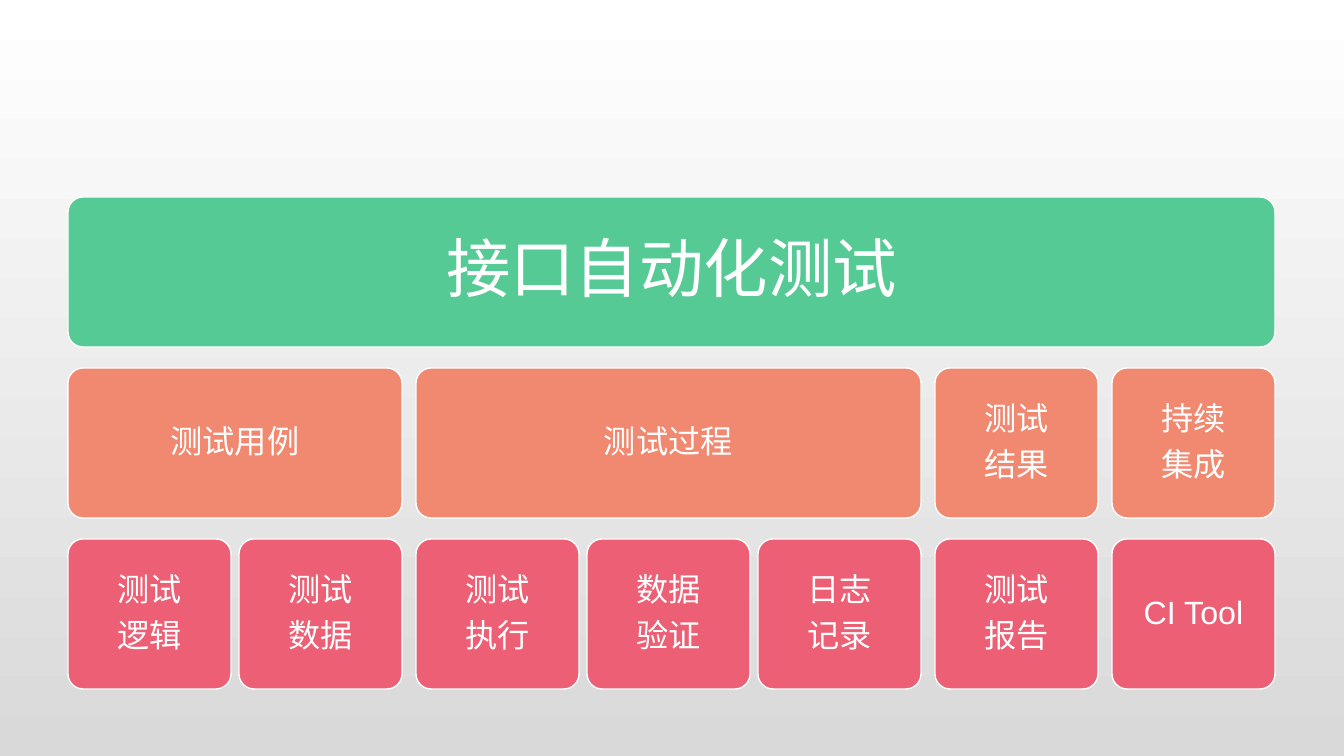
import pptx
import pptx.util
import pptx.dml.color
import pptx.enum.shapes
import pptx.enum.text

RGB = pptx.dml.color.RGBColor
WHITE = RGB(0xFF, 0xFF, 0xFF)
GRAY = RGB(0xD9, 0xD9, 0xD9)
GREEN = RGB(0x56, 0xCA, 0x95)
CORAL = RGB(0xF1, 0x88, 0x70)
PINK = RGB(0xEC, 0x5F, 0x74)

WIDE, HIGH = 1344, 756
SCALE = 12192000 // WIDE
LEFT, TOP = 68, 197
LEAF, TALL = 163, 150
GAP, SPLIT, STEP = 8, 14, 171

ROOT = "接口自动化测试"
GROUPS = [
    (["测试用例"], [["测试", "逻辑"], ["测试", "数据"]]),
    (["测试过程"], [["测试", "执行"], ["数据", "验证"], ["日志", "记录"]]),
    (["测试", "结果"], [["测试", "报告"]]),
    (["持续", "集成"], [["CI Tool"]]),
]


def px(n):
    return pptx.util.Emu(round(n * SCALE))


def apply(item, form):
    for key, value in form.items():
        setattr(item, key, value)


def span(count):
    return count * (LEAF + GAP) - GAP


def card(slide, box, lines, color, size=23, inset=14):
    kind = pptx.enum.shapes.MSO_SHAPE.ROUNDED_RECTANGLE
    shape = slide.shapes.add_shape(kind, *map(px, box))
    shape.adjustments[0] = 0.1
    shape.shadow.inherit = False
    shape.fill.solid()
    shape.fill.fore_color.rgb = color
    shape.line.color.rgb = WHITE
    shape.line.width = pptx.util.Pt(1)
    frame = shape.text_frame
    apply(frame, {
        "word_wrap": True,
        "vertical_anchor": pptx.enum.text.MSO_ANCHOR.MIDDLE,
        "margin_left": px(inset), "margin_right": px(inset),
        "margin_top": px(inset), "margin_bottom": px(inset),
    })
    for i, line in enumerate(lines):
        para = frame.add_paragraph() if i else frame.paragraphs[0]
        apply(para, {
            "alignment": pptx.enum.text.PP_ALIGN.CENTER,
            "line_spacing": 0.9,
            "space_after": pptx.util.Pt(round(size * 0.35)),
        })
        run = para.add_run()
        run.text = line
        apply(run.font, {"name": "Arial", "size": pptx.util.Pt(size)})
        run.font.color.rgb = WHITE


def group(slide, box, head, leaves):
    left, top, width, tall = box
    card(slide, box, head, CORAL)
    for i, leaf in enumerate(leaves):
        place = (left + i * (LEAF + GAP), top + STEP, LEAF, tall)
        card(slide, place, leaf, PINK)


def tree(slide, left, top):
    widths = [span(len(leaves)) for _, leaves in GROUPS]
    total = sum(widths) + SPLIT * (len(widths) - 1)
    card(slide, (left, top, total, TALL), [ROOT], GREEN, 46, 23)
    for width, (head, leaves) in zip(widths, GROUPS):
        group(slide, (left, top + STEP, width, TALL), head, leaves)
        left += width + SPLIT


def paint(slide):
    fill = slide.background.fill
    fill.gradient()
    fill.gradient_angle = 270
    for stop, color in zip(fill.gradient_stops, (WHITE, GRAY)):
        stop.color.rgb = color


def main():
    deck = pptx.Presentation()
    apply(deck, {"slide_width": px(WIDE), "slide_height": px(HIGH)})
    slide = deck.slides.add_slide(deck.slide_layouts[6])
    paint(slide)
    tree(slide, LEFT, TOP)
    deck.save("out.pptx")


if __name__ == "__main__":
    main()
